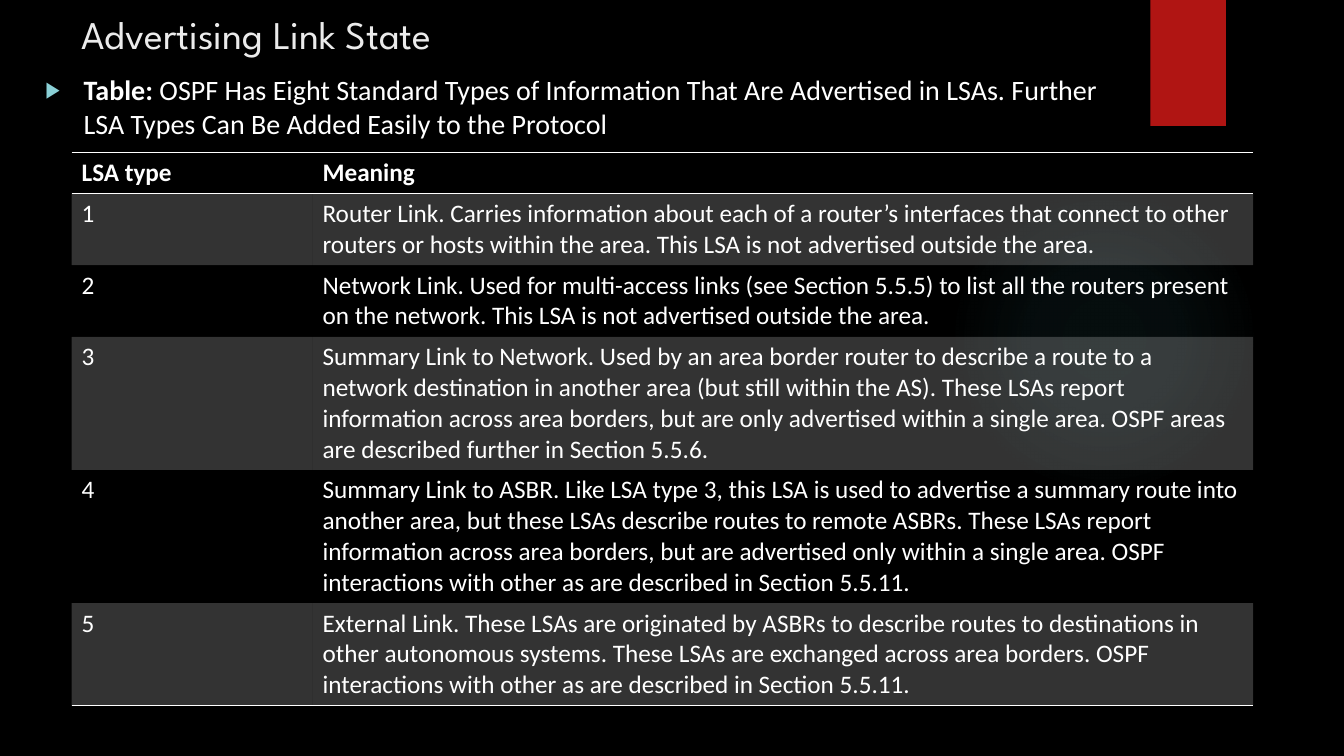
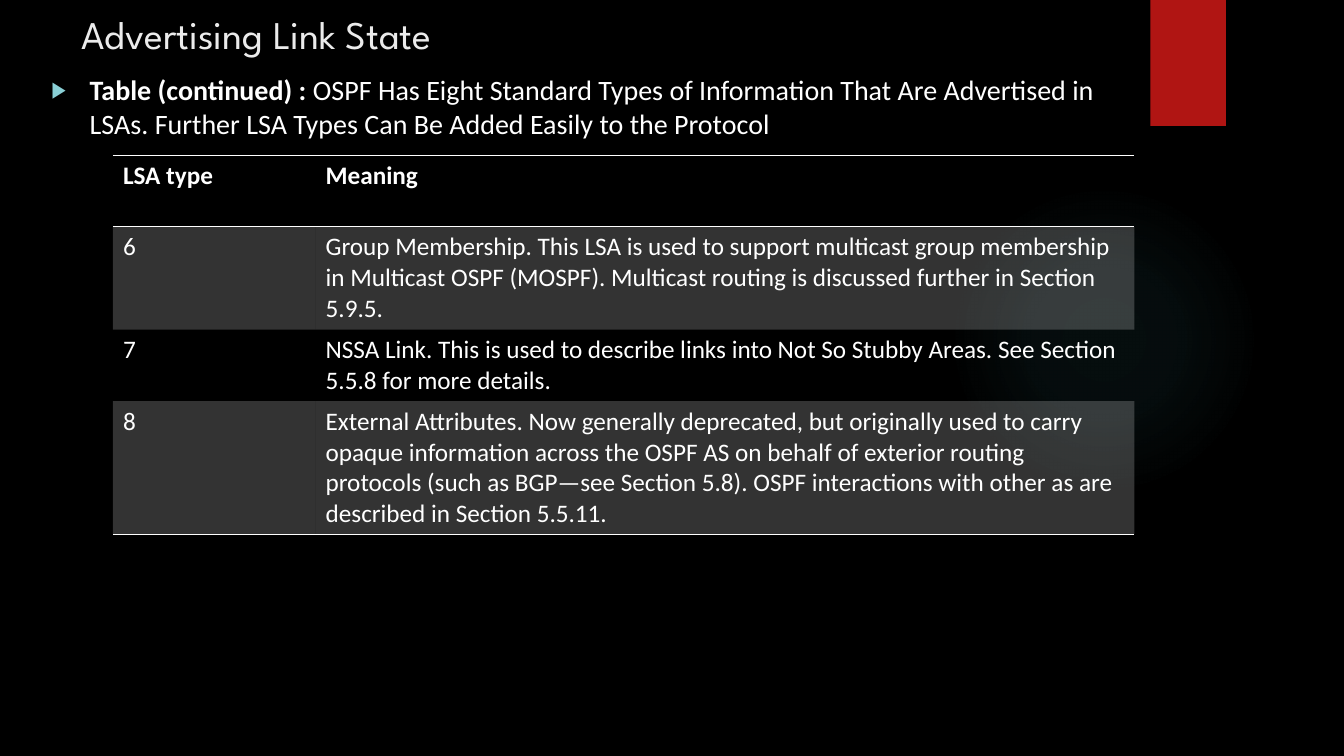
from pptx import Presentation
from pptx.dml.color import RGBColor
from pptx.enum.shapes import MSO_SHAPE
from pptx.enum.text import MSO_ANCHOR, MSO_AUTO_SIZE, PP_ALIGN
from pptx.oxml import parse_xml
from pptx.oxml.ns import qn
from pptx.util import Inches, Pt
from lxml import etree

OVAL, RECT = MSO_SHAPE.OVAL, MSO_SHAPE.RECTANGLE
TOP, MIDDLE = MSO_ANCHOR.TOP, MSO_ANCHOR.MIDDLE
NO_FIT, LEFT = MSO_AUTO_SIZE.NONE, PP_ALIGN.LEFT

BLACK, WHITE, TITLE_GREY = "000000", "FFFFFF", "EBEBEB"
RED, GLOW, BULLET = "B01513", "50B9C1", "8AD0D6"
TITLE_FONT, BODY_FONT = "League Spartan", "Calibri"
NS = 'xmlns:a="http://schemas.openxmlformats.org/drawingml/2006/main"'
NO_STYLE = "{2D5ABB26-0587-4C30-8999-92F81FD0307C}"
ROW_HEIGHTS = {1: 0.41, 2: 0.71, 3: 1.02, 4: 1.32}  # by lines of text
BODY_RIGHT = 10.99

# Content
TITLE = "Advertising Link State"
CAPTION = ("OSPF Has Eight Standard Types of Information That Are Advertised in LSAs. "
           "Further LSA Types Can Be Added Easily to the Protocol")
HEADER = ("LSA type", "Meaning")

# Each row: type, meaning, lines of text
SLIDES = [
    dict(label="Table: ", body_left=0.35, table_at=(0.71, 1.51), cols=(2.39, 9.33),
         header_lines=1, rows=[
        ("1", "Router Link. Carries information about each of a router’s interfaces that "
              "connect to other routers or hosts within the area. This LSA is not "
              "advertised outside the area.", 2),
        ("2", "Network Link. Used for multi-access links (see Section 5.5.5) to list all "
              "the routers present on the network. This LSA is not advertised outside "
              "the area.", 2),
        ("3", "Summary Link to Network. Used by an area border router to describe a route "
              "to a network destination in another area (but still within the AS). These "
              "LSAs report information across area borders, but are only advertised "
              "within a single area. OSPF areas are described further in Section 5.5.6.", 4),
        ("4", "Summary Link to ASBR. Like LSA type 3, this LSA is used to advertise a "
              "summary route into another area, but these LSAs describe routes to remote "
              "ASBRs. These LSAs report information across area borders, but are "
              "advertised only within a single area. OSPF interactions with other as are "
              "described in Section 5.5.11.", 4),
        ("5", "External Link. These LSAs are originated by ASBRs to describe routes to "
              "destinations in other autonomous systems. These LSAs are exchanged across "
              "area borders. OSPF interactions with other as are described in "
              "Section 5.5.11.", 3),
    ]),
    dict(label="Table (continued) : ", body_left=0.41, table_at=(1.12, 1.54),
         cols=(2.01, 8.12), header_lines=2, rows=[
        ("6", "Group Membership. This LSA is used to support multicast group membership "
              "in Multicast OSPF (MOSPF). Multicast routing is discussed further in "
              "Section 5.9.5.", 3),
        ("7", "NSSA Link. This is used to describe links into Not So Stubby Areas. See "
              "Section 5.5.8 for more details.", 2),
        ("8", "External Attributes. Now generally deprecated, but originally used to "
              "carry opaque information across the OSPF AS on behalf of exterior routing "
              "protocols (such as BGP—see Section 5.8). OSPF interactions with other as "
              "are described in Section 5.5.11.", 4),
    ]),
]


def rgb(color):
    return RGBColor.from_string(color)


def place(sp, left, top, width, height):
    sp.left, sp.top, sp.width, sp.height = map(Inches, (left, top, width, height))


def add_run(p, text, size, font=BODY_FONT, color=WHITE, bold=False):
    r = p.add_run()
    r.text = text
    f = r.font
    f.size, f.name, f.bold = Pt(size), font, bold
    f.color.rgb = rgb(color)


def add_backdrop(prs, layout):
    """Black background, soft glow and red tab, shared through the layout."""
    fill = prs.slide_master.background.fill
    fill.solid()
    fill.fore_color.rgb = rgb(BLACK)

    # Shapes are made on a slide and then moved behind the layout's placeholders
    slide = prs.slides[0]
    glow = slide.shapes.add_shape(OVAL, *map(Inches, (9.41, 1.83, 3.08, 3.08)))
    tab = slide.shapes.add_shape(RECT, *map(Inches, (11.41, 0, 0.75, 1.25)))
    for i, sp in enumerate((glow, tab)):
        sp.shadow.inherit = False
        sp.line.fill.background()
        layout.shapes.element.insert(2 + i, sp.element)

    stops = "".join(
        f'<a:gs pos="{pos * 1000}"><a:srgbClr val="{GLOW}">'
        f'<a:alpha val="{alpha * 1000}"/></a:srgbClr></a:gs>'
        for pos, alpha in ((0, 7), (36, 6), (69, 0)))
    glow.element.spPr.insert(2, parse_xml(
        f'<a:gradFill {NS} rotWithShape="1"><a:gsLst>{stops}</a:gsLst>'
        '<a:path path="circle"><a:fillToRect l="50000" t="50000" r="50000" b="50000"/>'
        '</a:path></a:gradFill>'))

    tab.fill.solid()
    tab.fill.fore_color.rgb = rgb(RED)
    tab.element.spPr.find(qn("a:effectLst")).append(parse_xml(
        f'<a:outerShdw {NS} blurRad="{Pt(3)}" dist="{Pt(2)}" dir="5400000" rotWithShape="0">'
        f'<a:srgbClr val="{BLACK}"><a:alpha val="45000"/></a:srgbClr></a:outerShdw>'))


def add_title(slide):
    tf = slide.shapes.title.text_frame
    tf.auto_size, tf.vertical_anchor = NO_FIT, MIDDLE
    p = tf.paragraphs[0]
    p.alignment = LEFT
    add_run(p, TITLE, 28, TITLE_FONT, TITLE_GREY)


def add_caption(slide, label, left):
    body = slide.placeholders[1]
    place(body, left, 0.67, BODY_RIGHT - left, 6.17)
    tf = body.text_frame
    tf.auto_size, tf.vertical_anchor = NO_FIT, TOP
    p = tf.paragraphs[0]
    pPr = p._p.get_or_add_pPr()
    pPr.set("marL", str(Inches(0.38)))
    pPr.set("indent", str(-Inches(0.38)))
    for xml in (f'<a:buClr {NS}><a:srgbClr val="{BULLET}"/></a:buClr>',
                f'<a:buSzPct {NS} val="80000"/>',
                f'<a:buFont {NS} typeface="Arial"/>',
                f'<a:buChar {NS} char="▶"/>'):
        pPr.append(parse_xml(xml))
    p.space_before = Pt(0)
    add_run(p, label, 20, bold=True)
    add_run(p, CAPTION, 20)


def format_cell(cell, shaded, edges):
    tcPr = cell._tc.get_or_add_tcPr()
    if shaded:
        cell.fill.solid()
        cell.fill.fore_color.rgb = rgb(WHITE)
        color = tcPr.find(".//" + qn("a:srgbClr"))
        etree.SubElement(color, qn("a:alpha")).set("val", "20000")
    else:
        cell.fill.background()
    for i, edge in enumerate(edges):
        tcPr.insert(i, parse_xml(
            f'<a:{edge} {NS} w="{Pt(1)}"><a:solidFill><a:srgbClr val="{WHITE}"/>'
            f'</a:solidFill></a:{edge}>'))


def add_lsa_table(slide, at, cols, header_lines, rows):
    rows = [(*HEADER, header_lines), *rows]
    heights = [ROW_HEIGHTS[lines] for *_, lines in rows]
    frame = slide.shapes.add_table(len(rows), len(cols), *map(
        Inches, (*at, sum(cols), sum(heights))))
    table = frame.table
    table.horz_banding = False
    table._tbl.tblPr.find(qn("a:tableStyleId")).text = NO_STYLE
    for col, width in zip(table.columns, cols):
        col.width = Inches(width)
    for i, (*texts, _) in enumerate(rows):
        table.rows[i].height = Inches(heights[i])
        if i == 0:
            edges = ("lnT", "lnB")
        else:
            edges = ("lnB",) if i == len(rows) - 1 else ()
        for j, text in enumerate(texts):
            cell = table.cell(i, j)
            add_run(cell.text_frame.paragraphs[0], text, 18, bold=i == 0)
            format_cell(cell, i % 2 == 1, edges)


def main():
    prs = Presentation()
    prs.slide_width, prs.slide_height = Inches(13.33), Inches(7.5)
    layout = prs.slide_layouts[1]
    place(layout.placeholders[0], 0.71, 0, 10.29, 0.67)
    for data in SLIDES:
        slide = prs.slides.add_slide(layout)
        add_title(slide)
        add_caption(slide, data["label"], data["body_left"])
        add_lsa_table(slide, data["table_at"], data["cols"],
                      data["header_lines"], data["rows"])
    add_backdrop(prs, layout)
    prs.save("out.pptx")


if __name__ == "__main__":
    main()
